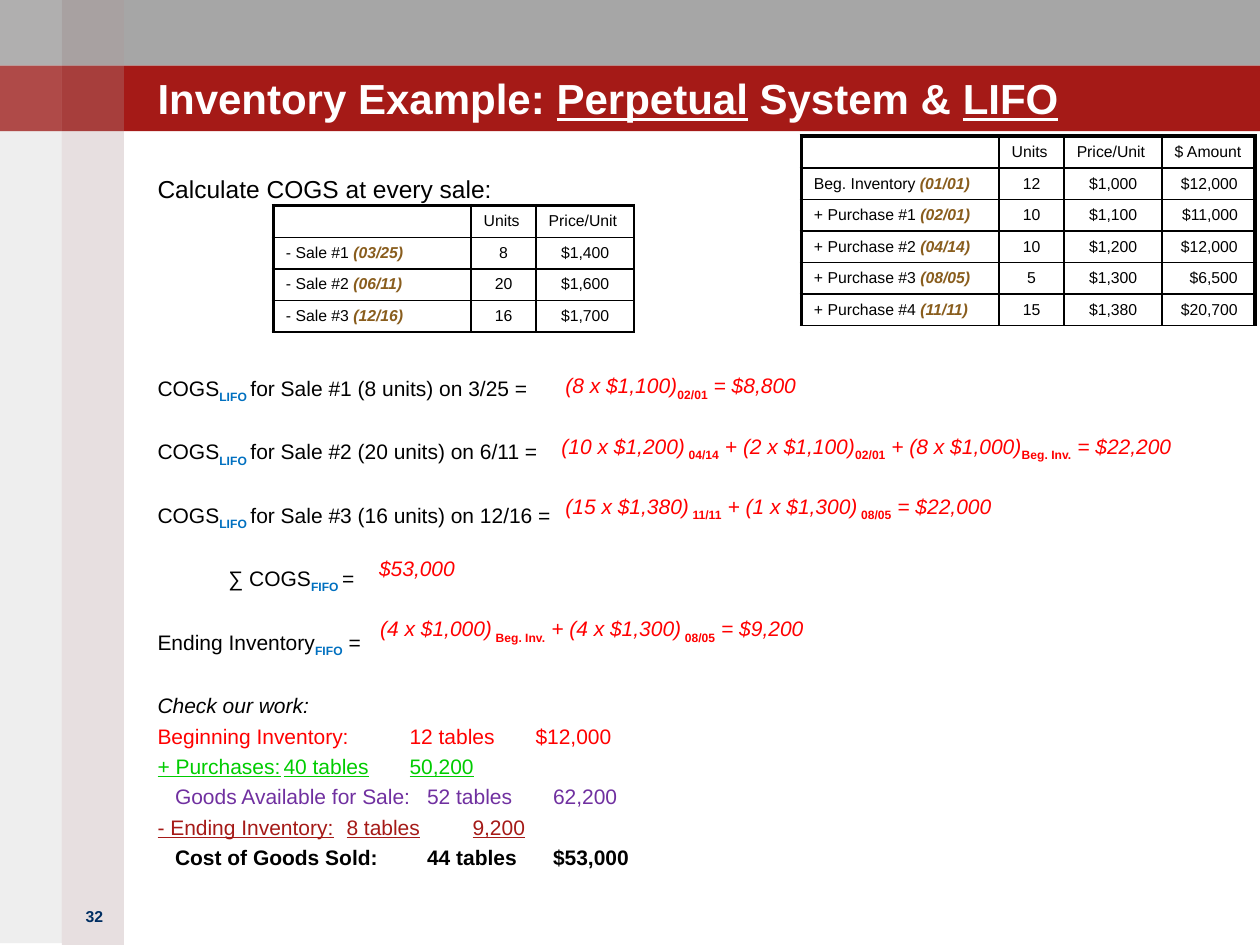
from lxml import etree
from pptx import Presentation
from pptx.dml.color import RGBColor
from pptx.enum.shapes import MSO_SHAPE
from pptx.enum.text import MSO_ANCHOR, MSO_AUTO_SIZE, PP_ALIGN
from pptx.oxml.ns import qn
from pptx.util import Pt

RECTANGLE = MSO_SHAPE.RECTANGLE
LEFT, CENTER, RIGHT = PP_ALIGN.LEFT, PP_ALIGN.CENTER, PP_ALIGN.RIGHT
TOP, MIDDLE, BOTTOM = MSO_ANCHOR.TOP, MSO_ANCHOR.MIDDLE, MSO_ANCHOR.BOTTOM
NO_FIT = MSO_AUTO_SIZE.NONE

COLORS = {
    "gray": "A6A6A6", "crimson": "A51A17", "rose": "A08284", "stone": "938F8F",
    "white": "FFFFFF", "black": "000000", "navy": "002E62", "blue": "0070C0",
    "red": "FF0000", "green": "00CC00", "purple": "7030A0", "bronze": "895D1D",
}
STYLES = {
    "title": {"size": 24, "color": "white", "bold": True},
    "title_underlined": {"size": 24, "color": "white", "bold": True, "underline": True},
    "lead": {"size": 14},
    "plain": {},
    "italic": {"italic": True},
    "method": {"color": "blue", "bold": True, "baseline": -25},
    "answer": {"color": "red", "italic": True},
    "date": {"color": "red", "bold": True, "baseline": -25},
    "cell": {"size": 9},
    "cell_date": {"size": 9, "color": "bronze", "bold": True, "italic": True},
    "number": {"size": 9, "color": "navy", "bold": True},
    "beginning": {"color": "red"},
    "purchases": {"color": "green", "underline": True},
    "available": {"color": "purple"},
    "ending": {"color": "crimson", "underline": True},
    "sold": {"bold": True},
}
COLUMN_WIDTHS = [113, 37.2, 56, 53.2]
ROW_HEIGHT = 18
PURCHASES = [
    ("", "", "Units", "Price/Unit", "$ Amount"),
    ("Beg. Inventory ", "(01/01)", "12", "$1,000", "$12,000"),
    ("+ Purchase #1 ", "(02/01)", "10", "$1,100", "$11,000"),
    ("+ Purchase #2 ", "(04/14)", "10", "$1,200", "$12,000"),
    ("+ Purchase #3 ", "(08/05)", "5", "$1,300", "$6,500"),
    ("+ Purchase #4 ", "(11/11)", "15", "$1,380", "$20,700"),
]
SALES = [
    ("", "", "Units", "Price/Unit"),
    ("- Sale #1 ", "(03/25)", "8", "$1,400"),
    ("- Sale #2 ", "(06/11)", "20", "$1,600"),
    ("- Sale #3 ", "(12/16)", "16", "$1,700"),
]
QUESTIONS = [
    (98, 0, "COGS", "LIFO ", "for Sale #1 (8 units) on 3/25 ="),
    (19.9, 0, "COGS", "LIFO ", "for Sale #2 (20 units) on 6/11 ="),
    (19.9, 0, "COGS", "LIFO ", "for Sale #3 (16 units) on 12/16 ="),
    (19.9, 40.5, "∑ COGS", "FIFO ", "="),
    (19.9, 0, "Ending Inventory", "FIFO", " ="),
]
LEDGER = [
    ("beginning", 0, "Beginning Inventory:", "12 tables", "$12,000"),
    ("purchases", 0, "+ Purchases:", "40 tables", "50,200"),
    ("available", 10, "Goods Available for Sale:", "52 tables", "62,200"),
    ("ending", 0, "- Ending Inventory:", "8 tables", "9,200"),
    ("sold", 10, "Cost of Goods Sold:", "44 tables", "$53,000"),
]
ANSWERS = [
    (316, 209.5, 276.5, ["(8 x $1,100)", "02/01", " = $8,800"]),
    (313.8, 244.1, 388, ["(10 x $1,200)", " 04/14", " + (2 x $1,100)", "02/01",
                         " + (8 x $1,000)", "Beg. Inv.", " = $22,200"]),
    (316, 278.6, 378, ["(15 x $1,380)", " 11/11", " + (1 x $1,300)", " 08/05", " = $22,000"]),
    (209.5, 313.9, 113.8, ["$53,000"]),
    (210.2, 348.5, 288, ["(4 x $1,000)", " Beg. Inv.", " + (4 x $1,300)", " 08/05", " = $9,200"]),
]


def rgb(name):
    """Return the named colour."""
    return RGBColor.from_string(COLORS[name])


def add_span(para, text, style):
    """Add one run in a named style."""
    look = STYLES[style]
    span = para.add_run()
    span.text = text
    font = span.font
    font.name = "Arial"
    font.size = Pt(look.get("size", 12))
    font.color.rgb = rgb(look.get("color", "black"))
    font.bold = look.get("bold", False)
    font.italic = look.get("italic", False)
    font.underline = look.get("underline", False)
    if "baseline" in look:
        span._r.get_or_add_rPr().set("baseline", str(look["baseline"] * 1000))


def place(shape, box):
    """Move a shape to a box given in points."""
    shape.left, shape.top, shape.width, shape.height = map(Pt, box)


def set_frame(frame, anchor, insets):
    """Set wrapping, anchor and insets of a text frame."""
    frame.word_wrap = True
    frame.auto_size = NO_FIT
    frame.vertical_anchor = anchor
    frame.margin_left, frame.margin_top, frame.margin_right, frame.margin_bottom = map(Pt, insets)


def add_band(page, box, color, opacity=100):
    """Draw one plain, possibly translucent rectangle."""
    band = page.shapes.add_shape(RECTANGLE, *map(Pt, box))
    band.shadow.inherit = False
    band.line.fill.background()
    band.fill.solid()
    band.fill.fore_color.rgb = rgb(color)
    if opacity < 100:
        tint = band.fill._xPr.find(".//" + qn("a:srgbClr"))
        etree.SubElement(tint, qn("a:alpha"), val=str(opacity * 1000))


def add_backdrop(page, width, height):
    """Draw the top bands and the two side strips."""
    bar, strip = 37.5, 35.4
    add_band(page, (0, 0, width, bar), "gray")
    add_band(page, (0, bar, width, bar), "crimson")
    add_band(page, (strip, 0, strip, height), "rose", 25)
    add_band(page, (0, 0, strip, height - 1), "stone", 15)
    for top in (0, bar):
        add_band(page, (strip, top, strip, bar), "white", 5)
        add_band(page, (0, top, strip, bar), "white", 15)


def fill_title(title, box):
    """Place the title and write its text."""
    place(title, box)
    set_frame(title.text_frame, BOTTOM, (0, 0, 0, 0))
    para = title.text_frame.paragraphs[0]
    para.alignment = LEFT
    for text, style in [("Inventory Example: ", "title"), ("Perpetual", "title_underlined"),
                        (" System & ", "title"), ("LIFO", "title_underlined")]:
        add_span(para, text, style)


def format_line(para, before, indent, tabs=()):
    """Format a body paragraph without a bullet."""
    props = para._p.get_or_add_pPr()
    props.set("marL", str(Pt(indent)))
    props.set("indent", "0")
    etree.SubElement(props, qn("a:buNone"))
    if tabs:
        stops = etree.SubElement(props, qn("a:tabLst"))
        for stop in tabs:
            etree.SubElement(stops, qn("a:tab"), pos=str(Pt(stop)), algn="r")
    para.alignment = LEFT
    para.space_before = Pt(before)


def fill_body(body, box):
    """Write the questions and the closing check."""
    place(body, box)
    frame = body.text_frame
    set_frame(frame, TOP, (0, 2.5, 0, 0))
    para = frame.paragraphs[0]
    format_line(para, 0, 0)
    add_span(para, "Calculate COGS at every sale:", "lead")
    for before, indent, name, method, rest in QUESTIONS:
        para = frame.add_paragraph()
        format_line(para, before, indent)
        for text, style in ((name, "plain"), (method, "method"), (rest, "plain")):
            add_span(para, text, style)
    para = frame.add_paragraph()
    format_line(para, 19.9, 0)
    add_span(para, "Check our work:", "italic")
    for style, indent, *entries in LEDGER:
        para = frame.add_paragraph()
        format_line(para, 3, indent, (267.2 if style == "sold" else 264.6, 403.2))
        add_span(para, "\t".join(entries), style)


def add_answer(page, box, pieces):
    """Add a worked answer whose every second piece is a subscript."""
    frame = page.shapes.add_textbox(*map(Pt, box)).text_frame
    set_frame(frame, TOP, (7.2, 3.6, 7.2, 3.6))
    for index, text in enumerate(pieces):
        add_span(frame.paragraphs[0], text, "date" if index % 2 else "answer")


def set_borders(cell, widths):
    """Draw left, right, top and bottom cell borders."""
    props = cell._tc.get_or_add_tcPr()
    for index, (side, width) in enumerate(zip("LRTB", widths)):
        line = etree.Element(qn("a:ln" + side), w=str(Pt(width)))
        fill = etree.SubElement(line, qn("a:solidFill"))
        etree.SubElement(fill, qn("a:srgbClr"), val=COLORS["black"])
        props.insert(index, line)


def add_inventory_table(page, left, top, rows, right_border):
    """Add a table of units and prices with a heavy outer edge."""
    count = len(rows[0]) - 1
    widths = COLUMN_WIDTHS[:count]
    box = (left, top, sum(widths), ROW_HEIGHT * len(rows))
    table = page.shapes.add_table(len(rows), count, *map(Pt, box)).table
    table.first_row = table.horz_banding = False
    for column, width in zip(table.columns, widths):
        column.width = Pt(width)
    for r, (label, date, *values) in enumerate(rows):
        table.rows[r].height = Pt(ROW_HEIGHT)
        for c in range(count):
            cell = table.cell(r, c)
            cell.fill.background()
            cell.vertical_anchor = MIDDLE
            cell.margin_left = Pt(7.2)
            cell.margin_right = Pt(10 if c == 3 and r else 7.2)
            cell.margin_top = cell.margin_bottom = Pt(3.6)
            set_borders(cell, (1 if c else 2.25, right_border if c == count - 1 else 1,
                               1 if r else 2.25, 1))
            para = cell.text_frame.paragraphs[0]
            para.alignment = LEFT if r == 0 or c == 0 else RIGHT if c == 3 else CENTER
            if c:
                add_span(para, values[c - 1], "cell")
            elif label:
                add_span(para, label, "cell")
                add_span(para, date, "cell_date")
            else:
                etree.SubElement(para._p, qn("a:endParaRPr"), sz="900")


def add_page_number(page, box):
    """Add the page number in the side strip."""
    frame = page.shapes.add_textbox(*map(Pt, box)).text_frame
    set_frame(frame, TOP, (7.2, 3.6, 7.2, 3.6))
    frame.paragraphs[0].alignment = CENTER
    add_span(frame.paragraphs[0], "32", "number")


def main():
    """Build the slide and save it."""
    deck = Presentation()
    deck.slide_width, deck.slide_height = Pt(720), Pt(540)
    page = deck.slides.add_slide(deck.slide_layouts[1])
    title, body = page.placeholders
    add_backdrop(page, 720, 540)
    for holder in (title, body):
        holder.element.getparent().append(holder.element)
    add_page_number(page, (36, 514.8, 36, 25))
    fill_title(title, (90, 22.3, 594, 48.2))
    fill_body(body, (90, 97.2, 624.2, 418.3))
    for left, top, width, pieces in ANSWERS:
        add_answer(page, (left, top, width, 21.6), pieces)
    add_inventory_table(page, 457.9, 77.8, PURCHASES, 2.25)
    add_inventory_table(page, 156.2, 117.4, SALES, 1)
    deck.save("out.pptx")


if __name__ == "__main__":
    main()
